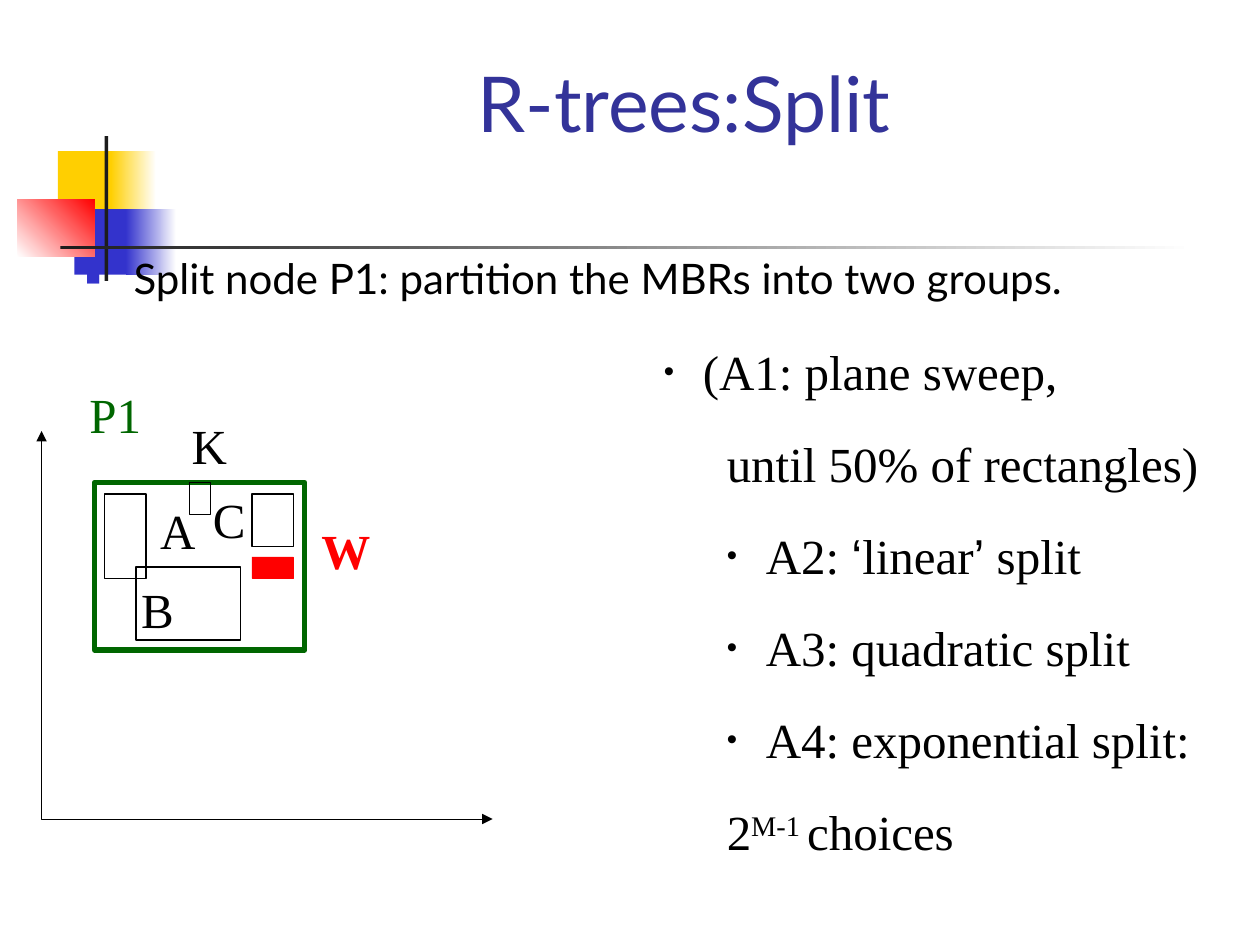
from lxml import etree
from pptx import Presentation
from pptx.dml.color import RGBColor
from pptx.enum.shapes import MSO_SHAPE
from pptx.enum.text import MSO_ANCHOR, MSO_AUTO_SIZE, PP_ALIGN
from pptx.oxml.ns import qn
from pptx.util import Inches, Pt

RECTANGLE = MSO_SHAPE.RECTANGLE
CENTER, LEFT = PP_ALIGN.CENTER, PP_ALIGN.LEFT
TOP, MIDDLE, BOTTOM = MSO_ANCHOR.TOP, MSO_ANCHOR.MIDDLE, MSO_ANCHOR.BOTTOM
NO_AUTOFIT, GROW = MSO_AUTO_SIZE.NONE, MSO_AUTO_SIZE.SHAPE_TO_FIT_TEXT
SANS, SERIF, QUOTE_FONT = "Lato", "Times New Roman", "Arial"
COLORS = {
    "yellow": "FFCF01", "blue": "3333CC", "red": "FF0000", "white": "FFFFFF",
    "charcoal": "1C1C1C", "title": "333399", "black": "000000", "green": "006600",
}


def color(name):
    return RGBColor.from_string(COLORS[name])


def inches(box):
    return [Inches(length) for length in box]


def add_rectangle(slide, box, fill=None, fade=None, angle=0, line=None, width=0.75):
    """Add a rectangle, filled plainly or with a gradient from fill to fade."""
    shape = slide.shapes.add_shape(RECTANGLE, *inches(box))
    shape.shadow.inherit = False
    if fade:
        shape.fill.gradient()
        shape.fill.gradient_angle = angle
        for stop, name in zip(shape.fill.gradient_stops, (fill, fade)):
            stop.color.rgb = color(name)
    elif fill:
        shape.fill.solid()
        shape.fill.fore_color.rgb = color(fill)
    else:
        shape.fill.background()
    if line:
        shape.line.color.rgb = color(line)
        shape.line.width = Pt(width)
    else:
        shape.line.fill.background()


def format_run(run, font, size, name="black", bold=False):
    run.font.name = font
    run.font.size = Pt(size)
    run.font.color.rgb = color(name)
    run.font.bold = bold


def set_indent(paragraph, left, first=0.0, bullet=None, bullet_color="black"):
    """Set the left margin, the first-line indent and a bullet at 60% size."""
    properties = paragraph._p.get_or_add_pPr()
    properties.set("marL", str(Inches(left)))
    properties.set("indent", str(Inches(first)))
    if bullet:
        bullet_fill = etree.SubElement(properties, qn("a:buClr"))
        etree.SubElement(bullet_fill, qn("a:srgbClr"), val=COLORS[bullet_color])
        etree.SubElement(properties, qn("a:buSzPct"), val="60000")
        etree.SubElement(properties, qn("a:buFont"), typeface=QUOTE_FONT)
        etree.SubElement(properties, qn("a:buChar"), char=bullet)
    else:
        etree.SubElement(properties, qn("a:buNone"))


def add_decoration(slide, left, top):
    """Draw the coloured blocks and the crossing bars of the theme."""
    blocks = [
        ((0.32, 0.12, 0.48, 0.52), "yellow", None, 0),
        ((0.74, 0.12, 0.36, 0.52), "yellow", "white", 0),
        ((0.45, 0.58, 0.46, 0.52), "blue", None, 0),
        ((0.86, 0.58, 0.4, 0.52), "blue", "white", 0),
        ((0, 0.5, 0.61, 0.46), "white", "red", 45),
        ((0.69, 0, 0.03, 1.15), "charcoal", None, 0),
        ((0.34, 0.87, 9, 0.03), "charcoal", "white", 0),
    ]
    for (x, y, width, height), fill, fade, angle in blocks:
        add_rectangle(slide, (left + x, top + y, width, height), fill, fade, angle)


def place_placeholder(slide, placeholder, box, text, anchor):
    """Move a placeholder in front of the decoration and return its paragraph."""
    slide.shapes._spTree.append(placeholder._element)
    placeholder.left, placeholder.top, placeholder.width, placeholder.height = inches(box)
    frame = placeholder.text_frame
    frame.text = text
    frame.auto_size = NO_AUTOFIT
    frame.vertical_anchor = anchor
    frame.margin_top = frame.margin_bottom = 0
    return frame.paragraphs[0]


def fill_title(slide, box):
    paragraph = place_placeholder(slide, slide.shapes.title, box, "R-trees:Split", BOTTOM)
    paragraph.alignment = CENTER
    format_run(paragraph.runs[0], SANS, 44, "title")


def fill_body(slide, box):
    text = "Split node P1: partition the MBRs into two groups."
    paragraph = place_placeholder(slide, slide.placeholders[1], box, text, TOP)
    paragraph.alignment = LEFT
    paragraph.space_before = Pt(6)
    set_indent(paragraph, 0.38, -0.38, "■", "blue")
    format_run(paragraph.runs[0], SANS, 24)


def add_axes(slide, left, top, width, height):
    builder = slide.shapes.build_freeform(Inches(left), Inches(top))
    corner = (Inches(left), Inches(top + height))
    end = (Inches(left + width), Inches(top + height))
    builder.add_line_segments([corner, end], close=False)
    axes = builder.convert_to_shape()
    axes.shadow.inherit = False
    axes.fill.background()
    axes.line.color.rgb = color("black")
    axes.line.width = Pt(0.25)
    line = axes.line._get_or_add_ln()
    for arrow in ("a:headEnd", "a:tailEnd"):
        etree.SubElement(line, qn(arrow), type="triangle")


def add_label(slide, box, text, name="black", bold=False):
    label = slide.shapes.add_textbox(*inches(box))
    frame = label.text_frame
    frame.text = text
    frame.word_wrap = False
    frame.auto_size = GROW
    frame.vertical_anchor = MIDDLE
    paragraph = frame.paragraphs[0]
    paragraph.alignment = CENTER
    format_run(paragraph.runs[0], SERIF, 28, name, bold)


def add_node_diagram(slide, left, top):
    """Draw node P1 with its entries and the new entry W between two axes."""
    rectangles = [
        ((0.42, 0.41, 1.67, 1.33), None, "green", 3),
        ((0.5, 0.5, 0.33, 0.67), None, "black", 0.75),
        ((1.67, 0.5, 0.33, 0.42), None, "black", 0.75),
        ((0.75, 1.08, 0.83, 0.58), None, "black", 0.75),
        ((1.67, 1, 0.33, 0.17), "red", "red", 0.25),
        ((1.17, 0.41, 0.17, 0.25), None, "black", 0.25),
    ]
    for (x, y, width, height), fill, line, weight in rectangles:
        add_rectangle(slide, (left + x, top + y, width, height), fill, line=line, width=weight)
    add_axes(slide, left, top, 3.58, 3.08)
    labels = [
        ("A", 0.84, 0.5, 0.48, "black", False),
        ("B", 0.69, 1.13, 0.46, "black", False),
        ("C", 1.26, 0.41, 0.46, "black", False),
        ("W", 2.12, 0.66, 0.59, "red", True),
        ("K", 1.09, -0.17, 0.48, "black", False),
        ("P1", 0.28, -0.42, 0.61, "green", False),
    ]
    for text, x, y, width, name, bold in labels:
        add_label(slide, (left + x, top + y, width, 0.57), text, name, bold)


def add_algorithm_list(slide, box):
    lines = [
        (["(A1: plane sweep,"], 0.31, True),
        (["until 50% of rectangles)"], 0.5, False),
        (["A2: ", "‘", "linear", "’", " split"], 0.81, True),
        (["A3: quadratic split"], 0.81, True),
        (["A4: exponential split:"], 0.81, True),
        (["2", "M-1 ", "choices"], 0.5, False),
    ]
    frame = slide.shapes.add_textbox(*inches(box)).text_frame
    frame.word_wrap = False
    frame.vertical_anchor = MIDDLE
    for index, (parts, indent, bulleted) in enumerate(lines):
        paragraph = frame.add_paragraph() if index else frame.paragraphs[0]
        paragraph.space_before = Pt(19)
        set_indent(paragraph, indent, -0.31 if bulleted else 0, "•" if bulleted else None)
        for part in parts:
            run = paragraph.add_run()
            run.text = part
            format_run(run, QUOTE_FONT if part in "‘’" else SERIF, 28)
            if part == "M-1 ":
                run.font._element.set("baseline", "30000")


def main():
    presentation = Presentation()
    presentation.slide_width, presentation.slide_height = Inches(10), Inches(7.5)
    slide = presentation.slides.add_slide(presentation.slide_layouts[1])
    add_decoration(slide, 0.14, 1.08)
    fill_title(slide, (1.17, 0.58, 8.52, 0.59))
    fill_body(slide, (0.58, 2, 9.21, 4.71))
    add_node_diagram(slide, 0.33, 3.42)
    add_algorithm_list(slide, (5.17, 2.71, 4.44, 4.12))
    presentation.save("out.pptx")


if __name__ == "__main__":
    main()
